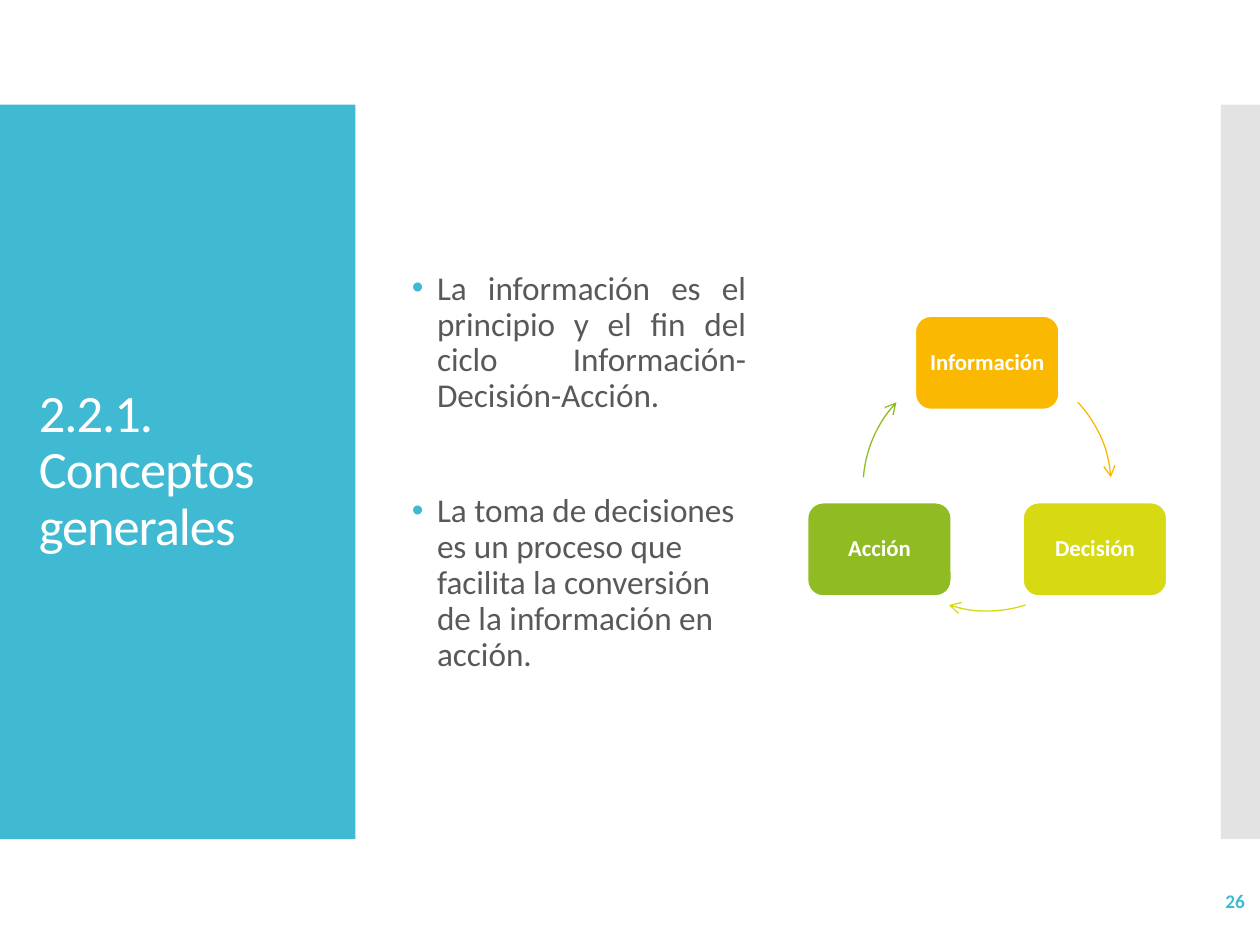
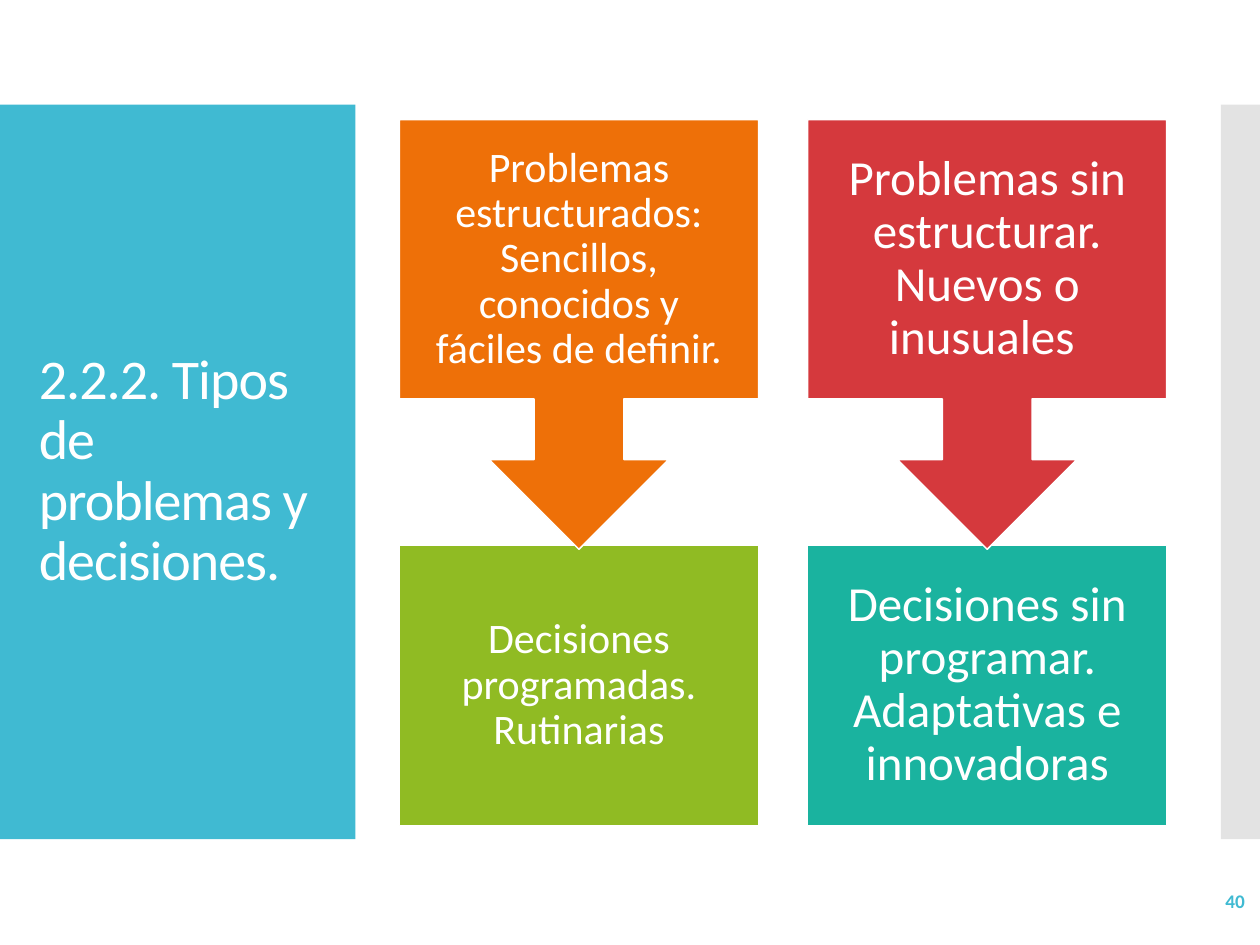
from dataclasses import dataclass
from lxml import etree
from pptx import Presentation
from pptx.dml.color import RGBColor
from pptx.enum.shapes import MSO_SHAPE
from pptx.enum.text import MSO_ANCHOR, PP_ALIGN
from pptx.oxml.ns import qn
from pptx.util import Inches, Pt

RECT, ROUND = MSO_SHAPE.RECTANGLE, MSO_SHAPE.ROUNDED_RECTANGLE
CALLOUT, ARC = MSO_SHAPE.DOWN_ARROW_CALLOUT, MSO_SHAPE.ARC
MIDDLE = MSO_ANCHOR.MIDDLE
LEFT, CENTER, RIGHT, JUSTIFY = (
    PP_ALIGN.LEFT, PP_ALIGN.CENTER, PP_ALIGN.RIGHT, PP_ALIGN.JUSTIFY)

COLS, ROWS = 100, 75
UNIT = Inches(10) / COLS
BAND_TOP, BAND_H = 8.3, 58.3
BODY_TOP, BODY_H = 9.5, 56
COL_W, COL_PITCH, COL_LEFT = 28.5, 32.4, 31.7


@dataclass(frozen=True)
class Theme:
    font: str = "Calibri"
    white: str = "FFFFFF"
    text: str = "595959"
    accent: str = "40BAD2"
    grey: str = "C8C8C8"
    amber: str = "FAB900"
    lime: str = "D7D913"
    green: str = "90BB23"
    orange: str = "EE7008"
    red: str = "D5393D"
    teal: str = "1AB39F"
    body: int = 19
    node: int = 13
    number: int = 11
    outline: float = 0.85
    arrow: float = 0.75


T = Theme()


def rgb(color):
    return RGBColor.from_string(color)


def place(x, y, w, h):
    return [round(v * UNIT) for v in (x, y, w, h)]


def column(i):
    return COL_LEFT + i * COL_PITCH


def add_child(parent, tag, **attrs):
    return etree.SubElement(parent, qn(tag), attrs)


def style(p, size, color, align=LEFT, bold=False, spacing=0.9):
    p.alignment = align
    p.line_spacing = spacing
    p.font.name, p.font.size, p.font.bold = T.font, Pt(size), bold
    p.font.color.rgb = rgb(color)


def text_box(s, box):
    tf = s.shapes.add_textbox(*place(*box)).text_frame
    tf.word_wrap = True
    tf.vertical_anchor = MIDDLE
    return tf


def panel(s, kind, box, fill, outlined=True):
    sp = s.shapes.add_shape(kind, *place(*box))
    sp.shadow.inherit = False
    sp.fill.solid()
    sp.fill.fore_color.rgb = rgb(fill)
    if outlined:
        sp.line.color.rgb = rgb(T.white)
        sp.line.width = Pt(T.outline)
    else:
        sp.line.fill.background()
    return sp


def label(sp, text, size, inset, bold=False):
    tf = sp.text_frame
    tf.word_wrap = True
    tf.vertical_anchor = MIDDLE
    tf.margin_left = tf.margin_right = Inches(inset)
    tf.margin_top = tf.margin_bottom = Inches(inset)
    p = tf.paragraphs[0]
    p.text = text
    style(p, size, T.white, CENTER, bold)


def base_slide(prs, title, title_size, number):
    s = prs.slides.add_slide(prs.slide_layouts[6])
    panel(s, RECT, (0, BAND_TOP, 28.2, BAND_H), T.accent, False)
    edge = panel(s, RECT, (96.9, BAND_TOP, COLS - 96.9, BAND_H), T.grey, False)
    add_child(edge._element.spPr.find(".//" + qn("a:srgbClr")),
              "a:alpha", val="50000")
    p = text_box(s, (2.1, 12.3, 24.2, 50.3)).paragraphs[0]
    r = p.add_run()
    r.text = title
    r._r.get_or_add_rPr().set("spc", "-60")
    style(p, title_size, T.white)
    p = text_box(s, (87.2, 69.5, 12.6, 4)).paragraphs[0]
    p.text = number
    style(p, T.number, T.accent, RIGHT, True, 1)
    return s


def bullets(s, box, items, gap):
    tf = text_box(s, box)
    for i, (text, align) in enumerate(items):
        p = tf.add_paragraph() if i else tf.paragraphs[0]
        p.text = text
        pPr = p._p.get_or_add_pPr()
        pPr.set("marL", str(Inches(0.2)))
        pPr.set("indent", str(-Inches(0.2)))
        add_child(add_child(pPr, "a:buClr"), "a:srgbClr", val=T.accent)
        add_child(pPr, "a:buFont", typeface="Arial")
        add_child(pPr, "a:buChar", char="•")
        if i:
            p.space_before = Pt(gap)
        style(p, T.body, T.text, align)


def arc_arrow(s, box, start, end, color):
    sp = s.shapes.add_shape(ARC, *place(*box))
    sp.shadow.inherit = False
    sp.fill.background()
    sp.adjustments[0], sp.adjustments[1] = start * 0.6, end * 0.6
    sp.line.color.rgb = rgb(color)
    sp.line.width = Pt(T.arrow)
    add_child(sp.line._get_or_add_ln(), "a:tailEnd", type="arrow")


def cycle(s, cx, cy, radius, nodes):
    w, h = 11.4, 7.4
    ring = (cx - radius, cy - radius, 2 * radius, 2 * radius)
    for text, color, dx, y, start, end in nodes:
        sp = panel(s, ROUND, (cx + dx - w / 2, y, w, h), color)
        label(sp, text, T.node, 0.08, True)
        arc_arrow(s, ring, start, end, color)


def problem_column(s, i, problem, decision, colors, size, inset):
    x, box_h = column(i), 22.2
    lower = panel(s, RECT, (x, BODY_TOP + BODY_H - box_h, COL_W, box_h), colors[1])
    label(lower, decision, size, inset)
    upper = panel(s, CALLOUT, (x, BODY_TOP, COL_W, 34.1), colors[0])
    label(upper, problem, size, inset)


def main():
    prs = Presentation()
    prs.slide_width, prs.slide_height = round(COLS * UNIT), round(ROWS * UNIT)

    s = base_slide(prs, "2.2.1. Conceptos generales", 30, "26")
    bullets(s, (column(0), BODY_TOP, COL_W, BODY_H), [
        ("La información es el principio y el fin del ciclo "
         "Información-Decisión-Acción.", JUSTIFY),
        ("La toma de decisiones es un proceso que facilita la conversión "
         "de la información en acción.", LEFT),
    ], 45)
    cycle(s, column(1) + COL_W / 2, 38.65, 9.85, [
        ("Información", T.amber, 0, 25.1, 317, 355.6),
        ("Decisión", T.lime, 8.55, 39.9, 72, 108),
        ("Acción", T.green, -8.55, 39.9, 184.4, 223),
    ])

    s = base_slide(prs, "2.2.2. Tipos de problemas y decisiones.", 32, "40")
    problem_column(
        s, 0,
        "Problemas estructurados: Sencillos, conocidos y fáciles de definir.",
        "Decisiones programadas. Rutinarias",
        (T.orange, T.green), 24, 0.19)
    problem_column(
        s, 1,
        "Problemas sin estructurar. Nuevos o inusuales ",
        "Decisiones sin programar. Adaptativas e innovadoras",
        (T.red, T.teal), 28, 0.22)

    prs.save("out.pptx")


if __name__ == "__main__":
    main()
